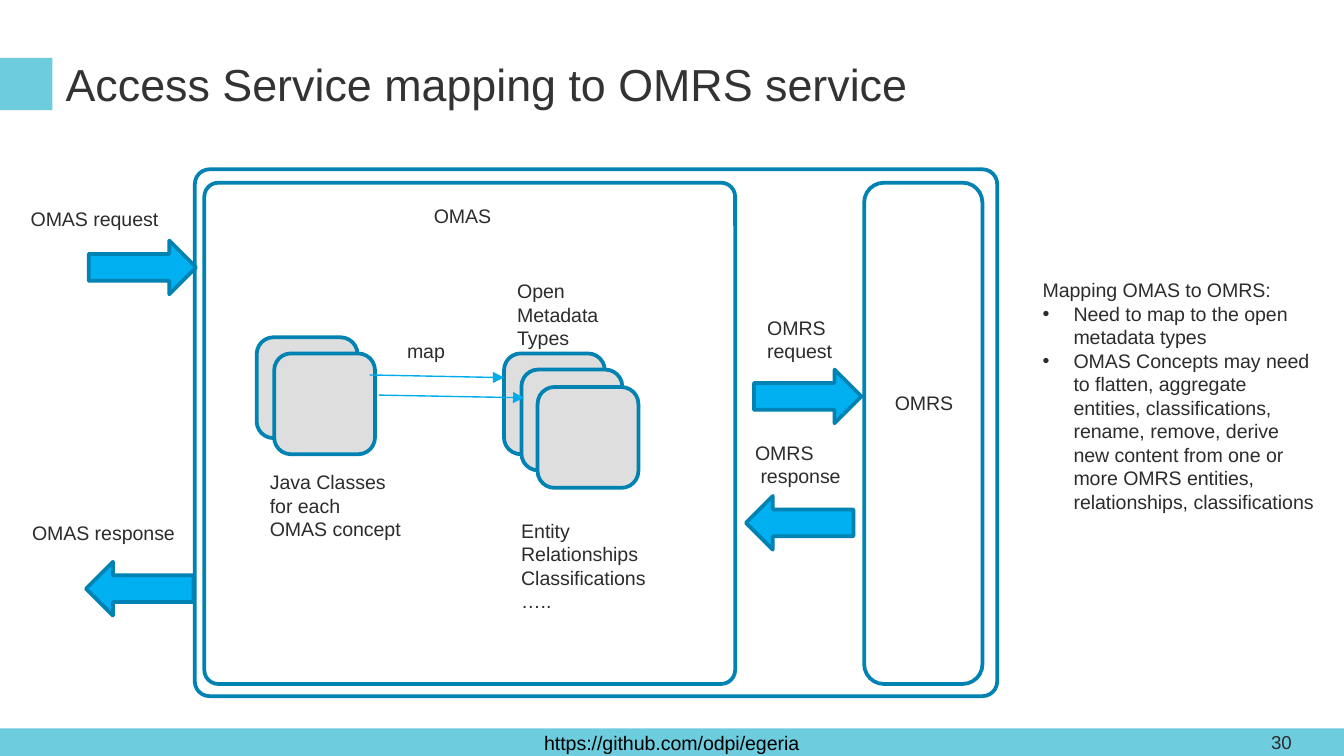
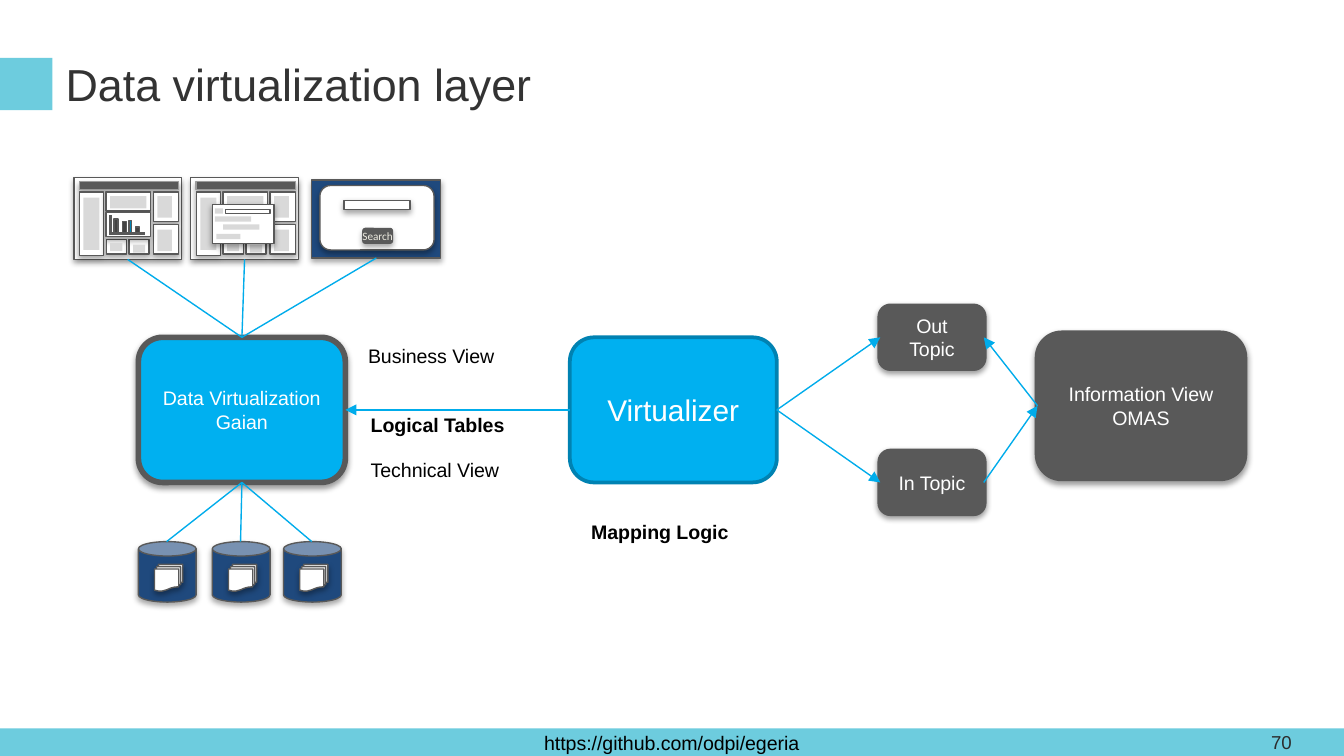
"""Builds two slides: access service mapping and the data virtualization layer."""
from lxml import etree
from pptx import Presentation
from pptx.dml.color import RGBColor
from pptx.enum import shapes, text
from pptx.oxml.ns import qn
from pptx.util import Pt

PX = 9144
AQUA = RGBColor(0x6D, 0xCC, 0xDE)
SKY = RGBColor(0x00, 0xB0, 0xF0)
TEAL = RGBColor(0x00, 0x82, 0xB2)
LINK = RGBColor(0x00, 0xAC, 0xEB)
ACCENT = RGBColor(0x00, 0x84, 0xB4)
NAVY = RGBColor(0x1F, 0x49, 0x7D)
WHITE = RGBColor(0xFF, 0xFF, 0xFF)
CREAM = RGBColor(0xEE, 0xEC, 0xE1)
BLACK = RGBColor(0, 0, 0)
INK = RGBColor(0x2C, 0x2C, 0x2C)
HEADING = RGBColor(0x33, 0x33, 0x33)
SLATE = RGBColor(0x59, 0x59, 0x59)
CHARCOAL = RGBColor(0x43, 0x43, 0x43)
SILVER = RGBColor(0x9B, 0x9B, 0x9B)
PALE = RGBColor(0xD9, 0xD9, 0xD9)
TILE = RGBColor(0xDE, 0xDE, 0xDE)
KIND = shapes.MSO_SHAPE
CENTER = text.PP_ALIGN.CENTER
MIDDLE = text.MSO_ANCHOR.MIDDLE


def draw(parent, kind, frame, fill=None, edge=None, weight=0.75, shade=0):
    box = parent.shapes.add_shape(kind, *[n * PX for n in frame])
    if fill is None:
        box.fill.background()
    else:
        box.fill.solid()
        box.fill.fore_color.rgb = fill
    if edge is None:
        box.line.fill.background()
    else:
        box.line.color.rgb = edge
        box.line.width = Pt(weight)
    box.shadow.inherit = False
    if shade:
        effects = box._element.spPr.find(qn("a:effectLst"))
        shadow = etree.SubElement(effects, qn("a:outerShdw"), blurRad=str(Pt(3.1)),
                                  dist=str(Pt(1.7)), dir="5400000", rotWithShape="0")
        colour = etree.SubElement(shadow, qn("a:srgbClr"), val="000000")
        etree.SubElement(colour, qn("a:alpha"), val=str(shade * 1000))
    return box


def write(box, lines, size=10.5, colour=INK, align=None, wrap=True):
    frame = box.text_frame
    frame.word_wrap = wrap
    if align is not None:
        frame.vertical_anchor = MIDDLE
    frame.text = "\n".join(lines)
    for para in frame.paragraphs:
        para.alignment = align
        para.font.size = Pt(size)
        para.font.name = "Arial"
        para.font.color.rgb = colour
    return frame


deck = Presentation()
deck.slide_width = 1000 * PX
deck.slide_height = deck.slide_width * 9 // 16
pages = []
for heading, number in (("Access Service mapping to OMRS service", "30"),
                        ("Data virtualization layer", "70")):
    page = deck.slides.add_slide(deck.slide_layouts[6])
    footer = draw(page, KIND.RECTANGLE, (0, 542, 1000, 20), AQUA)
    footer.height = deck.slide_height - footer.top
    write(footer, ["https://github.com/odpi/egeria"], colour=BLACK, align=CENTER)
    draw(page, KIND.RECTANGLE, (0, 43, 39, 39), AQUA)
    for frame, words, size, colour, anchor in (
            ((39, 32, 927, 62), heading, 24, HEADING, text.MSO_ANCHOR.TOP),
            ((936, 542, 60, 20), number, 10, INK, MIDDLE)):
        box = page.shapes.add_textbox(*[n * PX for n in frame])
        body = write(box, [words], size, colour)
        body.vertical_anchor = anchor
        body.margin_top = body.margin_bottom = 10 * PX
    pages.append(page)
mapping, layer = pages
links = []

for frame, fill, corner in (((145, 126, 597, 392), None, 0.028),
                            ((152, 136, 395, 373), WHITE, 0.028),
                            ((643, 136, 88, 373), WHITE, 0.167)):
    panel = draw(mapping, KIND.ROUNDED_RECTANGLE, frame, fill, TEAL, 2)
    panel.adjustments[0] = corner
for left, top, count in ((191, 251, 2), (375, 263, 3)):
    for step in range(count):
        x, y = left + (step * 25 + 1) // 2, top + step * 25 // 2
        draw(mapping, KIND.ROUNDED_RECTANGLE, (x, y, 75, 75), TILE, TEAL, 2)
for left, top, turn in ((66, 179, 0), (561, 275, 0), (555, 369, 180), (64, 418, 180)):
    arrow = draw(mapping, KIND.RIGHT_ARROW, (left, top, 80, 40), SKY, TEAL, 2)
    arrow.rotation = turn
for frame, lines, wrap in (
        ((656, 286, 64, 28), ["OMRS"], False),
        ((191, 345, 123, 63), ["Java Classes for each", "OMAS concept"], True),
        ((378, 381, 121, 98), ["Entity", "Relationships", "Classifications", "….."], True),
        ((313, 147, 63, 28), ["OMAS"], False),
        ((293, 247, 49, 28), ["map"], False),
        ((375, 203, 100, 63), ["Open", "Metadata", "Types"], True),
        ((13, 149, 117, 28), ["OMAS request"], False),
        ((561, 230, 69, 45), ["OMRS", "request"], False),
        ((14, 383, 128, 28), ["OMAS response"], False)):
    write(mapping.shapes.add_textbox(*[n * PX for n in frame]), lines, wrap=wrap)
box = mapping.shapes.add_textbox(552 * PX, 323 * PX, 85 * PX, 45 * PX)
response = write(box, ["OMRS", "response"], wrap=False).paragraphs[1]
response._p.get_or_add_pPr().set("marL", str(4 * PX))

box = mapping.shapes.add_textbox(766 * PX, 202 * PX, 223 * PX, 222 * PX)
notes = write(box, [
    "Mapping OMAS to OMRS:",
    "Need to map to the open metadata types",
    "OMAS Concepts may need to flatten, aggregate entities, classifications, rename, remove, "
    "derive new content from one or more OMRS entities, relationships, classifications"])
for para in notes.paragraphs[1:]:
    props = para._p.get_or_add_pPr()
    props.set("marL", str(23 * PX))
    props.set("indent", str(-23 * PX))
    props.insert(0, etree.Element(qn("a:buFont"), typeface="Arial"))
    props.insert(1, etree.Element(qn("a:buChar"), char="•"))
for start, end in (((282, 294), (390, 296)), ((275, 279), (375, 281))):
    links.append((mapping, start, end, LINK, 0.75, True))

nodes = []
for frame, fill, edge, weight, shade, size, lines in (
        ((424, 251, 154, 108), SKY, TEAL, 2, 0, 16, ["Virtualizer"]),
        ((103, 251, 154, 108), SKY, SLATE, 3, 38, 10.5, ["Data Virtualization", "Gaian"]),
        ((772, 248, 154, 108), SLATE, SLATE, 3, 38, 10.5, ["Information View OMAS"]),
        ((655, 228, 77, 46), SLATE, SLATE, 3, 38, 10.5, ["Out Topic"]),
        ((655, 336, 77, 46), SLATE, SLATE, 3, 38, 10.5, ["In Topic"])):
    node = draw(layer, KIND.ROUNDED_RECTANGLE, frame, fill, edge, weight, shade)
    write(node, lines, size, WHITE, CENTER)
    nodes.append(node)
virtualizer, store, view, outgoing, incoming = nodes
for start, end in (((view, 1), (outgoing, 3)), ((incoming, 3), (view, 1)),
                   ((virtualizer, 3), (outgoing, 1)), ((virtualizer, 3), (incoming, 1)),
                   ((virtualizer, 1), (store, 3))):
    links.append((layer, start, end, LINK, 0.75, True))

for frame, lines, bold in (((264, 251, 127, 28), ["Business View"], False),
                           ((266, 302, 142, 63), ["Logical Tables", "Technical View"], True),
                           ((430, 382, 142, 45), ["Mapping Logic"], True)):
    box = layer.shapes.add_textbox(*[n * PX for n in frame])
    paras = write(box, lines, colour=BLACK).paragraphs
    paras[0].font.bold = bold
    for para in paras[1:]:
        para.space_before = Pt(12)

for left in (103, 158, 211):
    database = layer.shapes.add_group_shape()
    draw(database, KIND.CAN, (left, 403, 43, 45), NAVY, SLATE, shade=35)
    draw(database, KIND.FLOWCHART_MULTIDOCUMENT, (left + 12, 420, 21, 20), WHITE, SLATE, shade=35)
    links.append((layer, (store, 2), (left + 21, 403), LINK, 0.75, False))

windows = []
for left in (55, 142):
    window = layer.shapes.add_group_shape()
    screen = draw(window, KIND.RECTANGLE, (left, 132, 80, 61), WHITE, SLATE, shade=35)
    draw(window, KIND.RECTANGLE, (left + 4, 135, 74, 6), SLATE, SILVER, shade=35)
    for x, y, width, height in ((4, 143, 18, 47), (59, 143, 19, 22), (24, 143, 33, 14),
                                (24, 178, 15, 11), (41, 178, 15, 11), (59, 167, 19, 22),
                                (24, 158, 33, 18)):
        draw(window, KIND.RECTANGLE, (left + x, y, width, height), WHITE, SLATE, shade=35)
    for x, y, width, height in ((27, 146, 27, 9), (7, 147, 12, 39), (62, 171, 11, 16),
                                (62, 146, 11, 16), (44, 182, 9, 6), (27, 181, 9, 6)):
        draw(window, KIND.RECTANGLE, (left + x, y, width, height), PALE)
    windows.append(window)
    links.append((layer, (screen, 2), (store, 0), LINK, 0.75, False))
dashboard, dialog = windows

for left, top, width, fill in ((85, 163, 3, CHARCOAL), (91, 165, 3, CHARCOAL),
                               (96, 164, 2, ACCENT), (101, 169, 3, CHARCOAL)):
    draw(dashboard, KIND.RECTANGLE, (left, top, width, 174 - top), fill, SLATE)
for start, end in (((82, 160), (82, 174)), ((81, 174), (108, 174))):
    links.append((dashboard, start, end, SLATE, 1.5, False))

draw(dialog, KIND.RECTANGLE, (158, 152, 46, 29), WHITE, SLATE, shade=35)
draw(dialog, KIND.RECTANGLE, (168, 156, 33, 3), WHITE, SLATE)
for left, top, width in ((160, 161, 27), (160, 155, 6), (166, 167, 27), (161, 174, 18)):
    draw(dialog, KIND.RECTANGLE, (left, top, width, 4), PALE)

search = layer.shapes.add_group_shape()
backdrop = draw(search, KIND.RECTANGLE, (232, 134, 96, 58), NAVY, SLATE, shade=35)
draw(search, KIND.ROUNDED_RECTANGLE, (238, 138, 85, 48), WHITE, SLATE, shade=35)
draw(search, KIND.RECTANGLE, (256, 149, 49, 7), WHITE, SLATE, shade=35)
button = draw(search, KIND.ROUNDED_RECTANGLE, (270, 170, 22, 11), SLATE, SLATE, shade=35)
caption = write(button, ["Search"], 6, CREAM, CENTER, False)
caption.paragraphs[0].font.name = "Calibri"
links.append((layer, (backdrop, 2), (store, 0), LINK, 0.75, False))

for parent, start, end, colour, weight, pointed in links:
    points = [n * PX if isinstance(spot[0], int) else 0 for spot in (start, end) for n in spot]
    line = parent.shapes.add_connector(shapes.MSO_CONNECTOR.STRAIGHT, *points)
    if not isinstance(start[0], int):
        line.begin_connect(*start)
    if not isinstance(end[0], int):
        line.end_connect(*end)
    line.line.color.rgb = colour
    line.line.width = Pt(weight)
    if pointed:
        etree.SubElement(line.line._get_or_add_ln(), qn("a:tailEnd"), type="triangle")
    etree.SubElement(line._element.spPr, qn("a:effectLst"))

deck.save("out.pptx")
